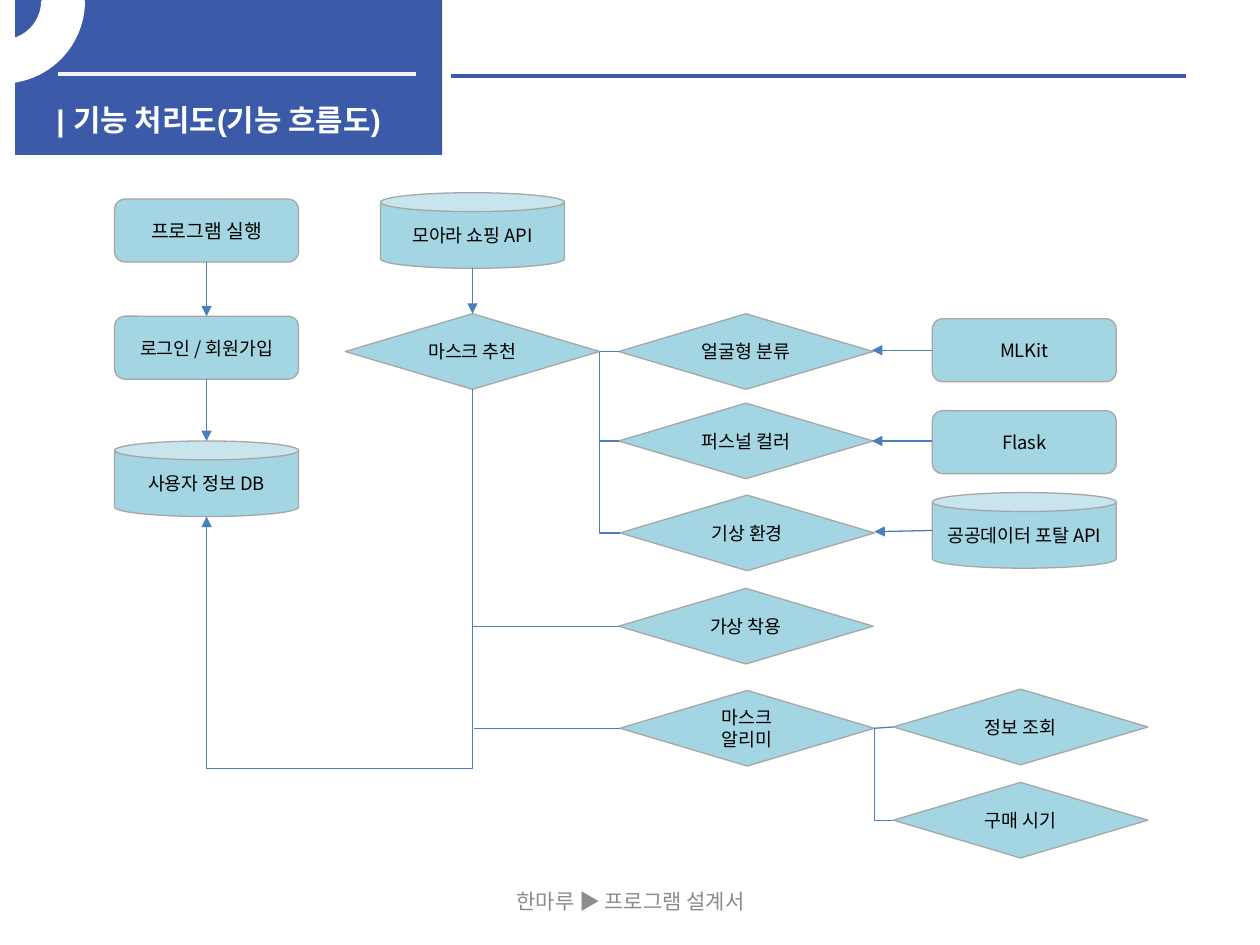
import pptx
import pptx.util
import pptx.dml.color
import pptx.enum.shapes
import pptx.enum.text
import pptx.oxml
import pptx.oxml.ns

SHAPES = pptx.enum.shapes.MSO_SHAPE
LINES = pptx.enum.shapes.MSO_CONNECTOR
ANCHORS = pptx.enum.text.MSO_ANCHOR
ALIGN = pptx.enum.text.PP_ALIGN


def color(value):
    return pptx.dml.color.RGBColor.from_string(value)


def append_xml(parent, tag, **attributes):
    child = pptx.oxml.parse_xml(f"<a:{tag} {pptx.oxml.ns.nsdecls('a')}/>")
    for name, value in attributes.items():
        child.set(name, str(value))
    parent.append(child)
    return child


class FlowPage:
    BLUE = "3B5AA8"
    WHITE = "FFFFFF"
    NODE = "4BACC6"
    EDGE = "A6A6A6"
    ARROW = "4B7EBC"
    FONT = "Noto Sans CJK KR"
    COLUMNS, ROWS = 100, 75

    def __init__(self, deck):
        self.cell_width = deck.slide_width / self.COLUMNS
        self.cell_height = deck.slide_height / self.ROWS
        self.page = deck.slides.add_slide(deck.slide_layouts[6])

    def x(self, columns):
        return round(columns * self.cell_width)

    def y(self, rows):
        return round(rows * self.cell_height)

    def area(self, left, top, width, height):
        return self.x(left), self.y(top), self.x(width), self.y(height)

    def set_text(self, box, text, size, tone, font=FONT, bold=False,
                 align=ALIGN.CENTER, anchor=ANCHORS.MIDDLE):
        frame = box.text_frame
        frame.word_wrap = True
        frame.vertical_anchor = anchor
        frame.text = text
        for para in frame.paragraphs:
            para.alignment = align
            for span in para.runs:
                span.font.name = font
                span.font.size = pptx.util.Pt(size)
                span.font.bold = bold
                span.font.color.rgb = color(tone)
                append_xml(span.font._element, "ea", typeface=self.FONT)

    def label(self, area, text, size, tone, **style):
        box = self.page.shapes.add_textbox(*self.area(*area))
        self.set_text(box, text, size, tone, **style)

    def block(self, kind, area, fill, line=None, weight=0.75):
        box = self.page.shapes.add_shape(kind, *self.area(*area))
        box.shadow.inherit = False
        box.fill.solid()
        box.fill.fore_color.rgb = color(fill)
        if line:
            box.line.color.rgb = color(line)
            box.line.width = pptx.util.Pt(weight)
        else:
            box.line.fill.background()
        return box

    def corner_ring(self, area):
        ring = self.block(SHAPES.BLOCK_ARC, area, self.WHITE, self.WHITE, 2)
        ring.adjustments[0] = 161.59 * 0.6
        ring.adjustments[1] = 0
        ring.adjustments[2] = 0.25
        ring._element.spPr.xfrm.set("flipV", "1")

    def node(self, kind, left, top, width, height, text, size=10.5):
        box = self.block(kind, (left, top, width, height), self.NODE, self.EDGE)
        tint = box._element.spPr.find(".//" + pptx.oxml.ns.qn("a:srgbClr"))
        append_xml(tint, "alpha", val=50000)
        self.set_text(box, text, size, "000000")

    def step(self, left, top, text, size=10.5):
        self.node(SHAPES.ROUNDED_RECTANGLE, left, top, 14.6, 5, text, size)

    def store(self, left, top, text):
        self.node(SHAPES.CAN, left, top, 14.6, 6, text)

    def decision(self, left, top, text):
        self.node(SHAPES.FLOWCHART_DECISION, left, top, 20.2, 6, text)

    def connect(self, start, end, tone=ARROW, weight=0.75, head=False,
                kind=LINES.STRAIGHT, bend=None):
        link = self.page.shapes.add_connector(
            kind, self.x(start[0]), self.y(start[1]), self.x(end[0]), self.y(end[1]))
        link.line.color.rgb = color(tone)
        link.line.width = pptx.util.Pt(weight)
        if head:
            append_xml(link.line._get_or_add_ln(), "tailEnd", type="triangle")
        append_xml(link._element.spPr, "effectLst")
        if bend is not None:
            guides = link._element.spPr.prstGeom.get_or_add_avLst()
            append_xml(guides, "gd", name="adj1", fmla=f"val {round(bend * 100000)}")
        return link

    def branch(self, start, end):
        self.connect(start, end, kind=LINES.ELBOW, bend=0)

    def loop_below(self, start, end, bottom):
        drop, reach = end[1] - start[1], start[0] - end[0]
        left = (start[0] + end[0] - drop) / 2
        top = (start[1] + end[1] - reach) / 2
        link = self.connect((left, top), (left + drop, top + reach), head=True,
                            kind=LINES.ELBOW, bend=(bottom - start[1]) / drop)
        link._element.spPr.xfrm.set("rot", "5400000")


def main():
    deck = pptx.Presentation()
    deck.slide_width = pptx.util.Inches(10)
    deck.slide_height = pptx.util.Inches(7.5)
    flow = FlowPage(deck)

    flow.block(SHAPES.RECTANGLE, (1.2, 0, 33.9, 12.3), flow.BLUE)
    flow.connect((4.6, 5.9), (33, 5.9), "F2F2F2", 2.25)
    flow.connect((35.8, 6), (94.1, 6), flow.BLUE, 2.25)
    flow.label((3.5, 7.6, 32.3, 3), "| 기능 처리도(기능 흐름도)", 17, flow.WHITE,
               font="Arial", bold=True, align=ALIGN.LEFT, anchor=ANCHORS.TOP)
    flow.corner_ring((-6.3, -6.3, 12.9, 12.8))
    flow.label((34.2, 69.5, 31.7, 4), "한마루 ▶ 프로그램 설계서", 12, "8C8C8C")

    flow.step(9.1, 15.8, "프로그램 실행", 11)
    flow.step(9.1, 25.1, "로그인 / 회원가입")
    flow.step(74, 25.3, "MLKit")
    flow.step(74, 32.6, "Flask")

    flow.store(30.2, 15.3, "모아라 쇼핑 API")
    flow.store(9.1, 35, "사용자 정보 DB")
    flow.store(74, 39.1, "공공데이터 포탈 API")

    for left, top, text in [
        (27.4, 24.9, "마스크 추천"),
        (49.1, 24.9, "얼굴형 분류"),
        (49.1, 32, "퍼스널 컬러"),
        (49.2, 39.3, "기상 환경"),
        (49.1, 46.7, "가상 착용"),
        (49.2, 54.8, "마스크\n알리미"),
        (70.9, 54.7, "정보 조회"),
        (70.9, 62.1, "구매 시기"),
    ]:
        flow.decision(left, top, text)

    for start, end in [
        ((16.4, 20.8), (16.4, 25.1)),
        ((16.4, 30.1), (16.4, 35)),
        ((37.5, 21.3), (37.5, 24.9)),
        ((74, 27.8), (69.2, 27.8)),
        ((74, 35), (69.2, 35)),
        ((74, 42.1), (69.4, 42.2)),
    ]:
        flow.connect(start, end, head=True)

    for start, end in [
        ((47.6, 27.9), (49.1, 27.9)),
        ((49.1, 49.7), (37.5, 49.7)),
        ((49.2, 57.8), (37.6, 57.8)),
        ((69.4, 57.8), (70.9, 57.7)),
    ]:
        flow.connect(start, end)

    for start, end in [
        ((47.6, 27.9), (49.1, 35)),
        ((47.6, 27.9), (49.2, 42.3)),
        ((69.4, 57.8), (70.9, 65.1)),
    ]:
        flow.branch(start, end)

    flow.loop_below((37.5, 30.9), (16.4, 41), 61)

    deck.save("out.pptx")


if __name__ == "__main__":
    main()
